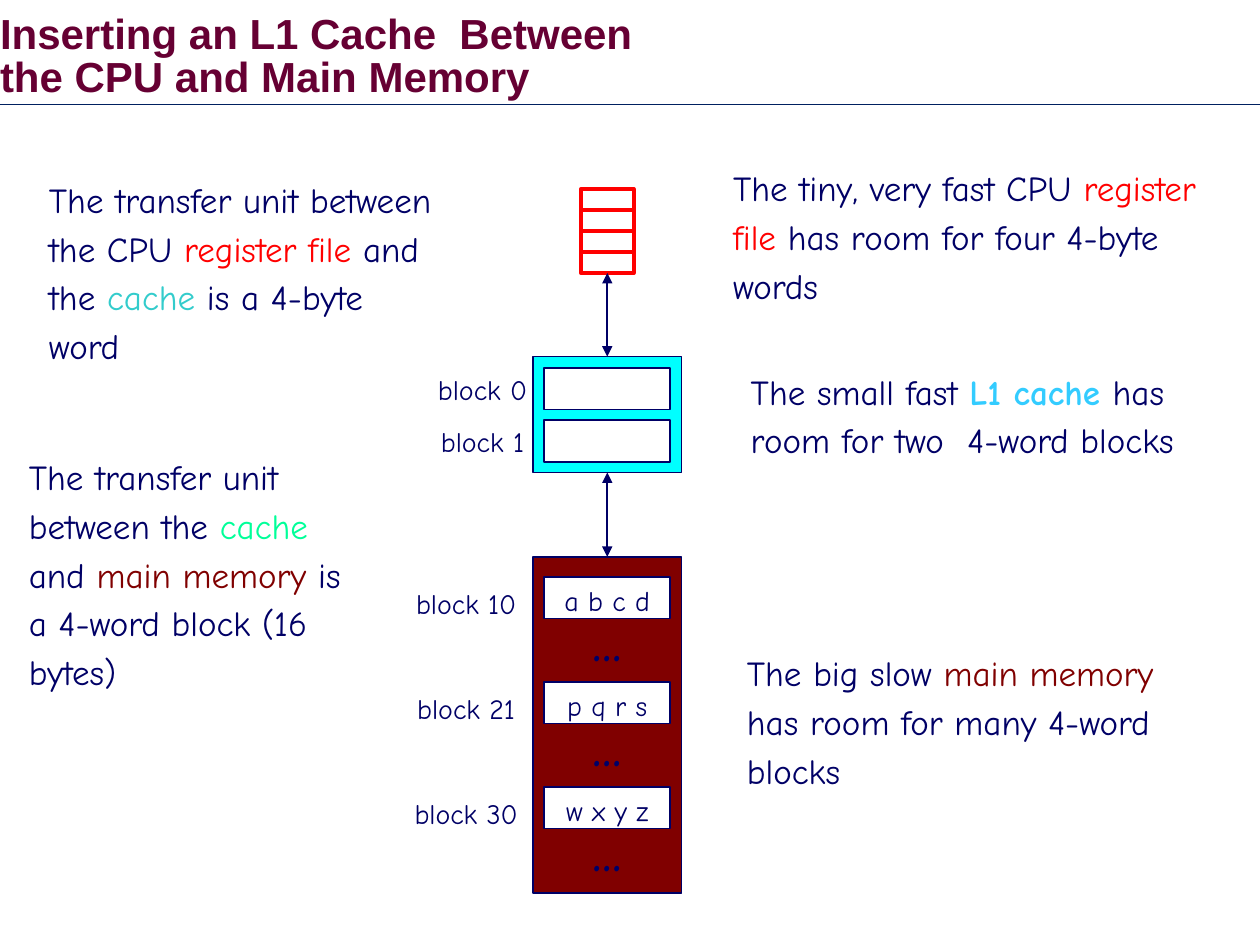
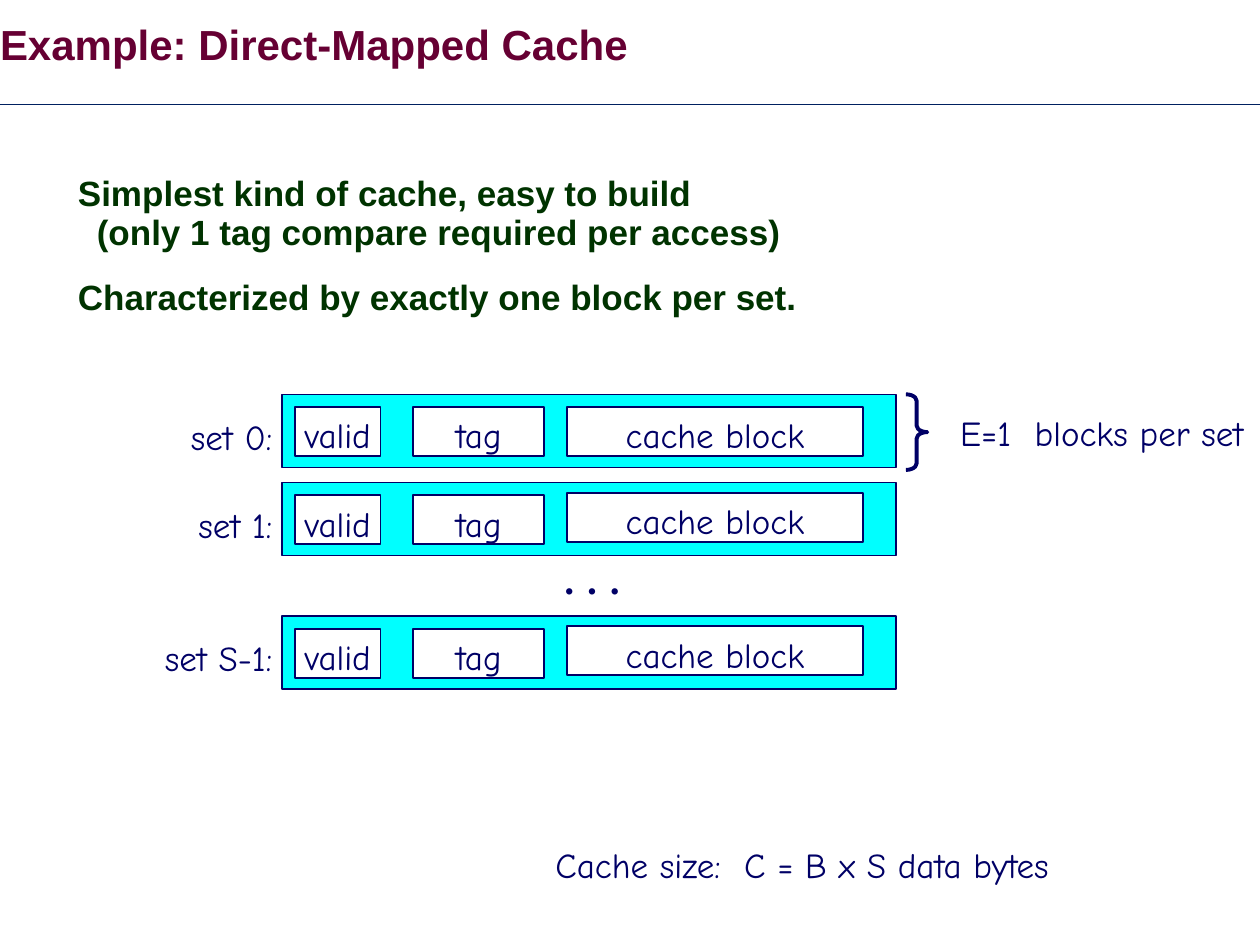
from lxml import etree
from pptx import Presentation
from pptx.dml.color import RGBColor
from pptx.enum.shapes import MSO_CONNECTOR, MSO_SHAPE
from pptx.enum.text import MSO_ANCHOR, MSO_AUTO_SIZE, PP_ALIGN
from pptx.oxml.ns import qn
from pptx.util import Inches, Pt

NAVY = RGBColor(0x00, 0x00, 0x66)
RULE = RGBColor(0x00, 0x20, 0x60)
PLUM = RGBColor(0x66, 0x00, 0x33)
GREEN = RGBColor(0x00, 0x33, 0x00)
MAROON = RGBColor(0x80, 0x00, 0x00)
RED = RGBColor(0xFF, 0x00, 0x00)
CYAN = RGBColor(0x00, 0xFF, 0xFF)
TEAL = RGBColor(0x33, 0xCC, 0xCC)
MINT = RGBColor(0x00, 0xFF, 0x99)
SKY = RGBColor(0x33, 0xCC, 0xFF)
WHITE = RGBColor(0xFF, 0xFF, 0xFF)

TITLE_FONT = {"name": "Arial", "size": Pt(24), "bold": True}
BODY_FONT = {"name": "Arial", "size": Pt(20), "bold": True}


def add_box(s, at, runs=(), size=20, align=PP_ALIGN.CENTER, wrap=False,
            fill=None, line=None, weight=1):
    """Add a rectangle, or a text box if there is no line; runs are (text, colour)."""
    at = [Inches(v) for v in at]
    if line is None:
        sp = s.shapes.add_textbox(*at)
    else:
        sp = s.shapes.add_shape(MSO_SHAPE.RECTANGLE, *at)
        sp.shadow.inherit = False
        sp.line.color.rgb = line
        sp.line.width = Pt(weight)
        if fill is None:
            sp.fill.background()
        else:
            sp.fill.solid()
            sp.fill.fore_color.rgb = fill
    if runs:
        tf = sp.text_frame
        tf.word_wrap = wrap
        tf.vertical_anchor = MSO_ANCHOR.MIDDLE
        tf.auto_size = MSO_AUTO_SIZE.SHAPE_TO_FIT_TEXT if line is None else MSO_AUTO_SIZE.NONE
        p = tf.paragraphs[0]
        p.alignment = align
        p.line_spacing = 1.16
        for text, color in runs:
            r = p.add_run()
            r.text = text
            r.font.name = "Comic Neue"
            r.font.size = Pt(size)
            r.font.color.rgb = color
            r.font.bold = color == SKY
    return sp


def add_line(s, start, end, color, weight):
    cn = s.shapes.add_connector(MSO_CONNECTOR.STRAIGHT, *(Inches(v) for v in start + end))
    cn.line.color.rgb = color
    cn.line.width = Pt(weight)
    etree.SubElement(cn._element.spPr, qn("a:effectLst"))
    return cn


prs = Presentation()
prs.slide_width, prs.slide_height = Inches(10), Inches(7.5)

# Titles and the rule below them
slides = []
for text, height in (
    ("Inserting an L1 Cache  Between \vthe CPU and Main Memory", 0.92),
    ("Example: Direct-Mapped Cache", 0.75),
):
    s = prs.slides.add_slide(prs.slide_layouts[5])
    title = s.shapes.title
    title.left, title.top, title.width, title.height = 0, 0, Inches(9.53), Inches(height)
    tf = title.text_frame
    tf.text = text
    for name, value in {"margin_left": 0, "margin_right": 0, "margin_top": 0,
                        "margin_bottom": 0, "word_wrap": True,
                        "vertical_anchor": MSO_ANCHOR.MIDDLE,
                        "auto_size": MSO_AUTO_SIZE.NONE}.items():
        setattr(tf, name, value)
    p = tf.paragraphs[0]
    p.alignment = PP_ALIGN.LEFT
    p.line_spacing = 0.85
    for r in p.runs:
        for name, value in TITLE_FONT.items():
            setattr(r.font, name, value)
        r.font.color.rgb = PLUM
    add_line(s, (0, 0.83), (10, 0.83), RULE, 0.75)
    slides.append(s)
hierarchy, mapped = slides

# Slide 1: register file, cache and main memory
s = hierarchy
for i in range(4):
    register = add_box(s, (4.61, 1.5 + i / 6, 0.42, 1 / 6), line=RED, weight=2.25)
cache = add_box(s, (4.23, 2.83, 1.18, 0.92), fill=CYAN, line=NAVY)
memory = add_box(s, (4.23, 4.42, 1.18, 2.67), fill=MAROON, line=NAVY)

for i in range(2):
    y = 2.92 + i * 5 / 12
    add_box(s, (4.32, y, 1, 0.33), fill=WHITE, line=NAVY)
    add_box(s, (3.23, y - 0.06, 1.2, 0.41), [(f"block {i}", NAVY)], 16)

for i, (number, words) in enumerate(((10, "a b c d"), (21, "p q r s"), (30, "w x y z"))):
    y = 4.58 + i * 5 / 6
    add_box(s, (4.32, y, 1, 0.33), [(words, NAVY)], 16, fill=WHITE, line=NAVY)
    add_box(s, (3.1, y - 0.02, 1.2, 0.41), [(f"block {number}", NAVY)], 16)
    add_box(s, (4.42, y + 0.02, 0.8, 0.8), [("...", NAVY)], 36)

for upper, lower, y1, y2 in ((register, cache, 2.17, 2.83), (cache, memory, 3.75, 4.42)):
    cn = add_line(s, (4.82, y1), (4.82, y2), NAVY, 1)
    cn.begin_connect(upper, 2)
    cn.end_connect(lower, 0)
    for end in ("a:headEnd", "a:tailEnd"):
        etree.SubElement(cn.line._get_or_add_ln(), qn(end), type="triangle")

for at, runs in (
    ((0.29, 1.31, 3.29, 1.65),
     [("The transfer unit between the CPU ", NAVY), ("register file", RED),
      (" and the ", NAVY), ("cache", TEAL), (" is a 4-byte word", NAVY)]),
    ((0.13, 3.51, 2.68, 2.04),
     [("The transfer unit between the ", NAVY), ("cache", MINT), (" and ", NAVY),
      ("main memory", MAROON), (" is a 4-word block (16 bytes)", NAVY)]),
    ((5.72, 1.22, 4.14, 1.26),
     [("The tiny, very fast CPU ", NAVY), ("register file", RED),
      (" has room for four 4-byte words", NAVY)]),
    ((5.86, 2.83, 4.01, 0.88),
     [("The small fast ", NAVY), ("L1 cache ", SKY),
      ("has room for two  4-word blocks", NAVY)]),
    ((5.83, 5.07, 3.56, 1.26),
     [("The big slow ", NAVY), ("main memory", MAROON),
      (" has room for many 4-word blocks", NAVY)]),
):
    add_box(s, at, runs, align=PP_ALIGN.LEFT, wrap=True)

# Slide 2: one block in each set
s = mapped
tf = s.shapes.add_textbox(Inches(0.32), Inches(1.34), Inches(9.09), Inches(5.71)).text_frame
tf.word_wrap = True
for i, text in enumerate((
    "Simplest kind of cache, easy to build\v(only 1 tag compare required per access)",
    "Characterized by exactly one block per set.",
)):
    p = tf.add_paragraph() if i else tf.paragraphs[0]
    p.text = text
    p.line_spacing = 0.93
    p.space_before = Pt(15 if i else 0)
    pPr = p._p.get_or_add_pPr()
    pPr.set("marL", str(Inches(0.35)))
    pPr.set("indent", str(Inches(-0.15)))
    for r in p.runs:
        for name, value in BODY_FONT.items():
            setattr(r.font, name, value)
        r.font.color.rgb = GREEN

for label, y, block_dy in (("set 0:", 3.13, 0.1), ("set 1:", 3.83, 0.08), ("set S-1:", 4.89, 0.08)):
    add_box(s, (2.24, y, 4.87, 0.58), fill=CYAN, line=NAVY)
    add_box(s, (1.06, y + 0.06, 1.2, 0.49), [(label, NAVY)], align=PP_ALIGN.RIGHT, wrap=True)
    for field, x, width, dy in (("valid", 2.34, 0.68, 0.1), ("tag", 3.28, 1.04, 0.1),
                                ("cache block", 4.5, 2.35, block_dy)):
        add_box(s, (x, y + dy, width, 0.39), [(field, NAVY)], fill=WHITE, line=NAVY)

add_box(s, (4.2, 4.38, 1, 0.49), [("• • •", NAVY)])
add_box(s, (7.52, 3.16, 2.45, 0.49), [("E=1  blocks per set", NAVY)])
add_box(s, (4.31, 6.59, 4.14, 0.49), [("Cache size:  C = B x S data bytes", NAVY)],
        align=PP_ALIGN.LEFT)

brace = s.shapes.add_shape(MSO_SHAPE.RIGHT_BRACE, Inches(7.19), Inches(3.13),
                           Inches(0.17), Inches(0.6))
brace.adjustments[0] = 0.3
brace.shadow.inherit = False
brace.fill.background()
brace.line.color.rgb = NAVY
brace.line.width = Pt(2.25)

prs.save("out.pptx")
